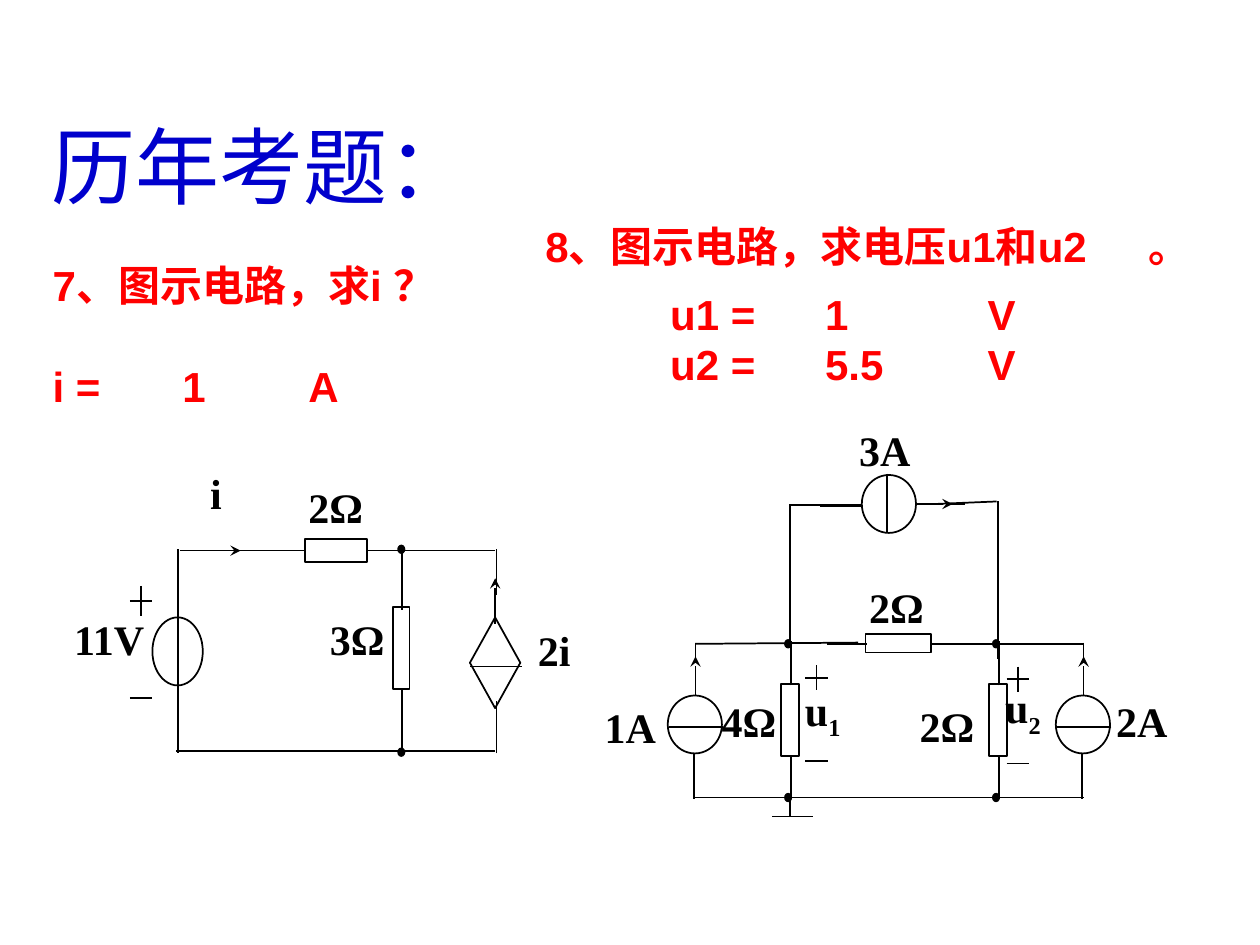
from pptx import Presentation
from pptx.dml.color import RGBColor
from pptx.enum.shapes import MSO_CONNECTOR, MSO_SHAPE
from pptx.enum.text import MSO_ANCHOR
from pptx.oxml.ns import qn
from pptx.util import Inches, Pt
from lxml import etree

LINE = MSO_CONNECTOR.STRAIGHT
RECT = MSO_SHAPE.RECTANGLE
OVAL = MSO_SHAPE.OVAL
RHOMB = MSO_SHAPE.DIAMOND
NODE = MSO_SHAPE.FLOWCHART_CONNECTOR
TOP, MIDDLE = MSO_ANCHOR.TOP, MSO_ANCHOR.MIDDLE
BLACK = RGBColor(0, 0, 0)
BLUE = RGBColor(0, 0, 0xCC)
RED = RGBColor(0xFF, 0, 0)
SERIF, SANS = "Times New Roman", "Arial"


class Board:
    def __init__(self, slide):
        self.shapes = slide.shapes
        self.ink = BLACK
        self.width = Pt(1)

    def text(self, box, lines, color, font=SANS, size=24, bold=True,
             anchor=TOP, tabs=(), gap=0):
        """Write lines; a '_' starts a subscript, tabs are in inches."""
        frame = self.shapes.add_textbox(*map(Inches, box)).text_frame
        frame.word_wrap = True
        frame.vertical_anchor = anchor
        for n, line in enumerate(lines):
            para = frame.paragraphs[0] if n == 0 else frame.add_paragraph()
            base, _, sub = line.partition("_")
            para.add_run().text = base
            if sub:
                run = para.add_run()
                run.text = sub
                run._r.get_or_add_rPr().set("baseline", "-25000")
            if tabs:
                stops = etree.SubElement(para._p.get_or_add_pPr(), qn("a:tabLst"))
                for pos in tabs:
                    etree.SubElement(stops, qn("a:tab"), pos=str(Inches(pos)), algn="l")
            if n and gap:
                para.space_before = Pt(gap)
            para.font.name, para.font.size = font, Pt(size)
            para.font.bold, para.font.color.rgb = bold, color

    def label(self, x, y, line, w=0.86):
        self.text((x, y, w, 0.5), [line], BLACK, SERIF)

    def wire(self, x1, y1, x2, y2, arrow=False):
        wire = self.shapes.add_connector(LINE, *map(Inches, (x1, y1, x2, y2)))
        wire.line.color.rgb = self.ink
        wire.line.width = self.width
        if arrow:
            etree.SubElement(wire.line._get_or_add_ln(), qn("a:tailEnd"), type="stealth")
        etree.SubElement(wire._element.spPr, qn("a:effectLst"))

    def shape(self, kind, *box, solid=False):
        shape = self.shapes.add_shape(kind, *map(Inches, box))
        shape.shadow.inherit = False
        if solid:
            shape.fill.solid()
            shape.fill.fore_color.rgb = self.ink
        else:
            shape.fill.background()
        shape.line.color.rgb = self.ink
        shape.line.width = self.width

    def dot(self, x, y):
        """Mark a junction centred on x, y."""
        self.shape(NODE, x - 0.03, y - 0.03, 0.05, 0.06, solid=True)

    def signs(self, x, plus, minus, tall):
        """Draw a plus above a minus, both centred on x."""
        self.wire(x - 0.09, plus, x + 0.09, plus)
        self.wire(x, plus - tall / 2, x, plus + tall / 2)
        self.wire(x - 0.09, minus, x + 0.09, minus)


def left(board):
    """Circuit of question 7."""
    for ends in [
        (1.41, 4.36, 1.41, 5.98),
        (3.94, 5.98, 3.94, 5.56), (4.14, 5.29, 3.73, 5.29), (3.94, 4.36, 3.94, 4.72),
        (3.94, 4.48, 3.94, 4.66),
        (3.19, 4.84, 3.19, 4.36), (3.19, 5.98, 3.19, 5.46),
        (2.37, 4.37, 1.43, 4.37), (2.41, 4.37, 2.11, 4.37),
        (3.21, 4.37, 2.91, 4.37), (3.93, 4.37, 2.99, 4.37),
        (2.35, 5.96, 1.4, 5.96), (3.05, 5.96, 1.98, 5.96), (3.93, 5.96, 2.99, 5.96),
    ]:
        board.wire(*ends)
    board.wire(3.93, 4.95, 3.93, 4.59, arrow=True)
    board.wire(1.64, 4.37, 1.91, 4.37, arrow=True)
    board.signs(1.12, 4.77, 5.54, 0.24)
    board.shape(OVAL, 1.21, 4.9, 0.4, 0.54)
    board.shape(RHOMB, 3.73, 4.9, 0.4, 0.72)
    board.shape(RECT, 3.12, 4.82, 0.13, 0.65)
    board.shape(RECT, 2.42, 4.28, 0.49, 0.18)
    for y in (4.36, 5.97):
        board.dot(3.19, y)
    board.label(0.49, 4.82, "11V")
    board.label(4.17, 4.91, "2i")
    board.label(2.35, 3.77, "2Ω")
    board.label(2.52, 4.82, "3Ω")
    board.label(1.57, 3.66, "i", 0.54)


def right(board):
    """Circuit of question 8."""
    for ends in [
        (6.27, 6.33, 6.27, 6.48), (6.45, 6.48, 6.13, 6.48),
        (6.94, 6.33, 5.51, 6.33), (7.59, 6.33, 6.16, 6.33), (8.6, 6.33, 7.17, 6.33),
        (6.81, 5.1, 5.52, 5.11), (6.88, 5.11, 6.56, 5.11),
        (7.71, 5.11, 7.39, 5.11), (8.6, 5.11, 7.6, 5.11),
        (6.27, 5.14, 6.27, 4), (7.92, 5.23, 7.92, 3.98),
        (6.83, 4.01, 6.26, 4.01), (6.51, 4.02, 6.84, 4.02),
        (7.66, 4, 7.52, 4), (7.91, 3.98, 7.42, 4), (7.04, 3.76, 7.04, 4.23),
    ]:
        board.wire(*ends)
    board.wire(7.27, 4, 7.56, 4, arrow=True)
    board.shape(OVAL, 6.84, 3.77, 0.43, 0.46)
    for x in (5.52, 8.6):
        board.wire(x, 5.52, x, 5.21, arrow=True)
        board.wire(x, 5.1, x, 5.25)
        board.wire(x - 0.01, 6.34, x - 0.01, 5.98)
        board.wire(x + 0.22, 5.77, x - 0.21, 5.77)
        board.shape(OVAL, x - 0.22, 5.52, 0.43, 0.46)
    for x in (6.28, 7.93):
        board.wire(x, 5.44, x, 5.09)
        board.wire(x, 6.34, x, 6)
        board.shape(RECT, x - 0.08, 5.43, 0.14, 0.57)
        for y in (5.11, 6.33):
            board.dot(x - 0.02, y)
    board.shape(RECT, 6.87, 5.03, 0.52, 0.15)
    board.signs(6.48, 5.38, 6.04, 0.2)
    board.signs(8.08, 5.39, 6.06, 0.2)
    for x, y, line in [
        (6.72, 3.32, "3A"), (6.8, 4.57, "2Ω"), (4.7, 5.52, "1A"), (5.63, 5.47, "4Ω"),
        (7.2, 5.51, "2Ω"), (8.76, 5.47, "2A"), (6.29, 5.38, "u_1"), (7.88, 5.36, "u_2"),
    ]:
        board.label(x, y, line)


def main():
    deck = Presentation()
    deck.slide_width, deck.slide_height = Inches(10), Inches(7.5)
    board = Board(deck.slides.add_slide(deck.slide_layouts[6]))
    board.text((0.31, 0.86, 8.99, 0.9), ["历年考题："], BLUE, SERIF, 48, bold=False)
    board.text((0.32, 2.01, 4.54, 1.3), ["7、图示电路，求i ？", "i =\t1\tA"], RED,
               anchor=MIDDLE, tabs=(1.03, 2.03), gap=28.8)
    board.text((4.23, 1.7, 5.41, 0.5), ["8、图示电路，求电压u1和u2\t。"], RED,
               anchor=MIDDLE, tabs=(4.79,))
    left(board)
    right(board)
    board.text((5.22, 2.24, 2.95, 0.9), ["u1 =\t1\tV", "u2 =\t5.5\tV"], RED,
               anchor=MIDDLE, tabs=(1.23, 2.52))
    deck.save("out.pptx")


if __name__ == "__main__":
    main()
